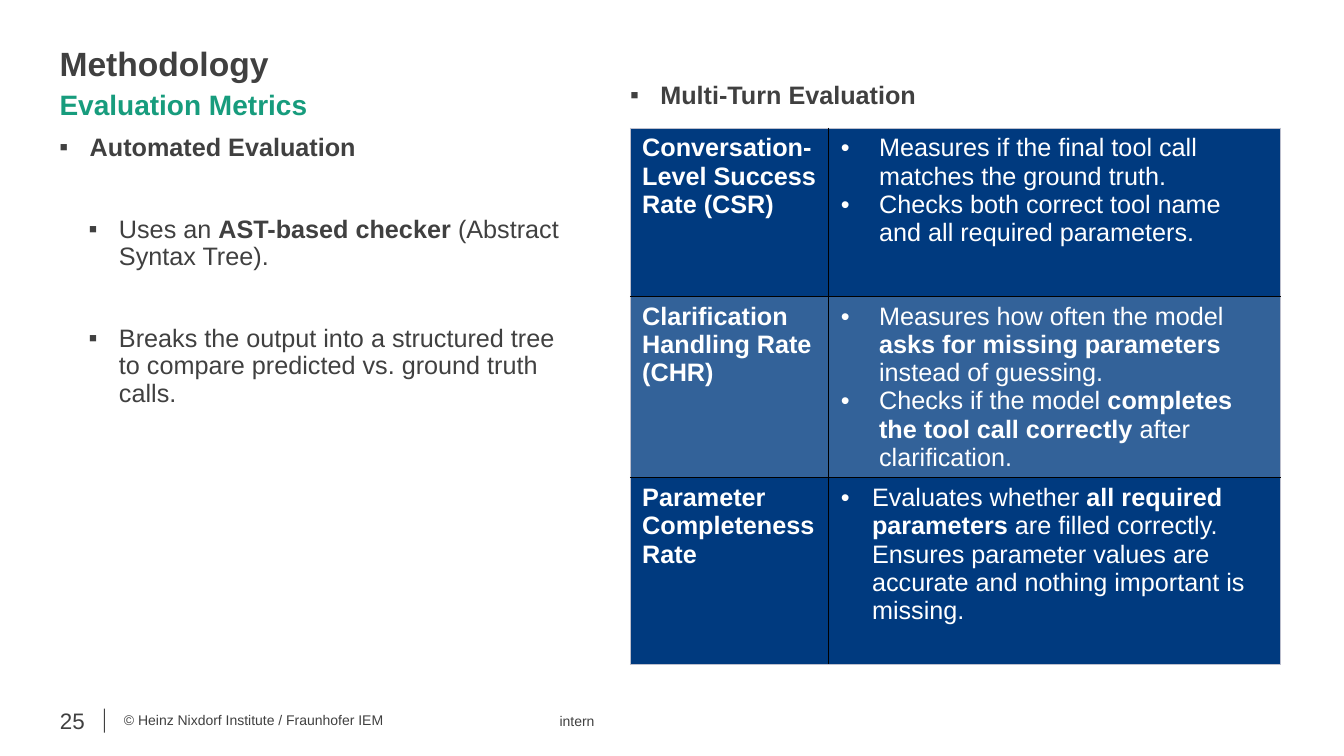
from lxml.etree import SubElement
from pptx import Presentation
from pptx.dml.color import RGBColor
from pptx.enum.shapes import MSO_SHAPE
from pptx.enum.text import MSO_ANCHOR, MSO_AUTO_SIZE, PP_ALIGN
from pptx.oxml import parse_xml
from pptx.oxml.ns import nsdecls, qn
from pptx.util import Inches, Pt

DARK, GREEN, WHITE = "404040", "179C7D", "FFFFFF"
NAVY, BLUE = "003A7F", "336299"
BLACK, GREY = "000000", "BDBFCD"


def color(code):
    return RGBColor.from_string(code)


class Page:
    font = "Arial"

    def __init__(self, slide):
        self.slide = slide

    def fill_in(self, para, text, size, tint, bold=False):
        """Fill a paragraph; parts between bars take the opposite weight."""
        for i, part in enumerate(text.split("|")):
            if not part:
                continue
            run = para.add_run()
            run.text = part
            run.font.name = self.font
            run.font.size = Pt(size)
            run.font.color.rgb = color(tint)
            run.font.bold = bold != (i % 2 == 1)

    def bullet(self, para, mark, left, hang):
        props = para._p.get_or_add_pPr()
        props.set("marL", str(Inches(left)))
        props.set("indent", str(-Inches(hang)))
        SubElement(props, qn("a:buFont")).set("typeface", self.font)
        SubElement(props, qn("a:buChar")).set("char", mark)

    def frame(self, shape, anchor, wrap=True):
        frame = shape.text_frame
        frame.margin_left = frame.margin_right = 0
        frame.margin_top = frame.margin_bottom = 0
        frame.word_wrap = wrap
        frame.auto_size = MSO_AUTO_SIZE.NONE
        frame.vertical_anchor = anchor
        return frame

    def box(self, x, y, w, h, anchor=MSO_ANCHOR.TOP, wrap=True):
        shape = self.slide.shapes.add_textbox(
            Inches(x), Inches(y), Inches(w), Inches(h))
        return self.frame(shape, anchor, wrap)

    def title(self, text, x, y, w, h):
        shape = self.slide.shapes.title
        shape.left, shape.top = Inches(x), Inches(y)
        shape.width, shape.height = Inches(w), Inches(h)
        para = self.frame(shape, MSO_ANCHOR.TOP).paragraphs[0]
        para.alignment = PP_ALIGN.LEFT
        para.line_spacing = 0.9
        self.fill_in(para, text, 24, DARK, True)

    def label(self, text, x, y, w, h, size, tint=DARK, bold=False):
        para = self.box(x, y, w, h).paragraphs[0]
        para.line_spacing = 0.9
        self.fill_in(para, text, size, tint, bold)

    def foot(self, text, x, y, w, h, size=10, align=PP_ALIGN.LEFT, wrap=True):
        para = self.box(x, y, w, h, MSO_ANCHOR.MIDDLE, wrap).paragraphs[0]
        para.alignment = align
        self.fill_in(para, text, size, DARK)

    def bar(self, x, y, w, h):
        shape = self.slide.shapes.add_shape(
            MSO_SHAPE.RECTANGLE, Inches(x), Inches(y), Inches(w), Inches(h))
        shape.shadow.inherit = False
        shape.fill.solid()
        shape.fill.fore_color.rgb = color(DARK)
        shape.line.fill.background()

    def points(self, head, items, x, y, w, h):
        """Set a bold heading bullet with indented points below it."""
        frame = self.box(x, y, w, h)
        for i, text in enumerate([head, *items]):
            para = frame.add_paragraph() if i else frame.paragraphs[0]
            para.level = 1 if i else 0
            para.line_spacing = 0.9
            if i:
                para.space_before = Pt(39)
            self.bullet(para, "▪", 0.59 if i else 0.3, 0.3)
            self.fill_in(para, text, 18, DARK, i == 0)

    def edges(self, cell, outer):
        """Draw thin grey outer edges and black inner ones."""
        props = cell._tc.get_or_add_tcPr()
        for i, side in enumerate("LRTB"):
            width, tint = (Pt(0.5), GREY) if side in outer else (Pt(1), BLACK)
            props.insert(i, parse_xml(
                f'<a:ln{side} {nsdecls("a")} w="{width}"><a:solidFill>'
                f'<a:srgbClr val="{tint}"/></a:solidFill></a:ln{side}>'))

    def cell(self, cell, lines, fill, outer, hang=0):
        cell.fill.solid()
        cell.fill.fore_color.rgb = color(fill)
        cell.margin_left = cell.margin_right = Inches(0.12)
        cell.margin_top = cell.margin_bottom = Inches(0.06)
        self.edges(cell, outer)
        frame = cell.text_frame
        for i, text in enumerate(lines):
            para = frame.add_paragraph() if i else frame.paragraphs[0]
            if hang:
                self.bullet(para, "•", hang, hang)
            self.fill_in(para, text, 18, WHITE, not hang)

    def table(self, rows, x, y, widths, heights):
        table = self.slide.shapes.add_table(
            len(rows), len(widths), Inches(x), Inches(y),
            Inches(sum(widths)), Inches(sum(heights))).table
        table.first_row = table.horz_banding = False
        for col, width in zip(table.columns, widths):
            col.width = Inches(width)
        for r, (name, notes, hang) in enumerate(rows):
            table.rows[r].height = Inches(heights[r])
            fill = BLUE if r % 2 else NAVY
            outer = ("T" if r == 0 else "") + ("B" if r == len(rows) - 1 else "")
            self.cell(table.cell(r, 0), name, fill, outer + "L")
            self.cell(table.cell(r, 1), notes, fill, outer + "R", hang)


METRICS = [
    (["Conversation-Level Success Rate (CSR)"],
     ["Measures if the final tool call matches the ground truth.",
      "Checks both correct tool name and all required parameters."], 0.38),
    (["Clarification Handling Rate (CHR)"],
     ["Measures how often the model |asks for missing parameters| "
      "instead of guessing.",
      "Checks if the model |completes the tool call correctly| "
      "after clarification."], 0.38),
    (["Parameter Completeness", "Rate"],
     ["Evaluates whether |all required parameters| are filled correctly. "
      "Ensures parameter values are accurate and nothing important is "
      "missing."], 0.31),
]
CHECKS = [
    "Uses an |AST-based checker |(Abstract Syntax Tree).",
    "Breaks the output into a structured tree to compare predicted vs. "
    "ground truth calls.",
]


def main():
    deck = Presentation()
    deck.slide_width, deck.slide_height = Inches(13.33), Inches(7.5)
    page = Page(deck.slides.add_slide(deck.slide_layouts[5]))
    page.bar(1.03, 7.03, 0.01, 0.24)
    page.foot("intern", 5.55, 7.01, 4.25, 0.29)
    page.title("Methodology", 0.59, 0.47, 12.15, 0.43)
    page.label("Evaluation Metrics", 0.59, 0.91, 12.15, 0.43, 20, GREEN, True)
    page.points("Automated Evaluation", CHECKS, 0.59, 1.34, 5.13, 5.4)
    page.foot("© Heinz Nixdorf Institute / Fraunhofer IEM",
              1.23, 6.99, 5.43, 0.31)
    page.foot("25", 0.59, 6.99, 0.25, 0.31, 16, PP_ALIGN.RIGHT, False)
    page.points("Multi-Turn Evaluation", [], 6.25, 0.82, 5.96, 0.56)
    page.table(METRICS, 6.25, 1.27, [1.97, 4.48], [1.67, 1.8, 1.85])
    deck.save("out.pptx")


if __name__ == "__main__":
    main()
